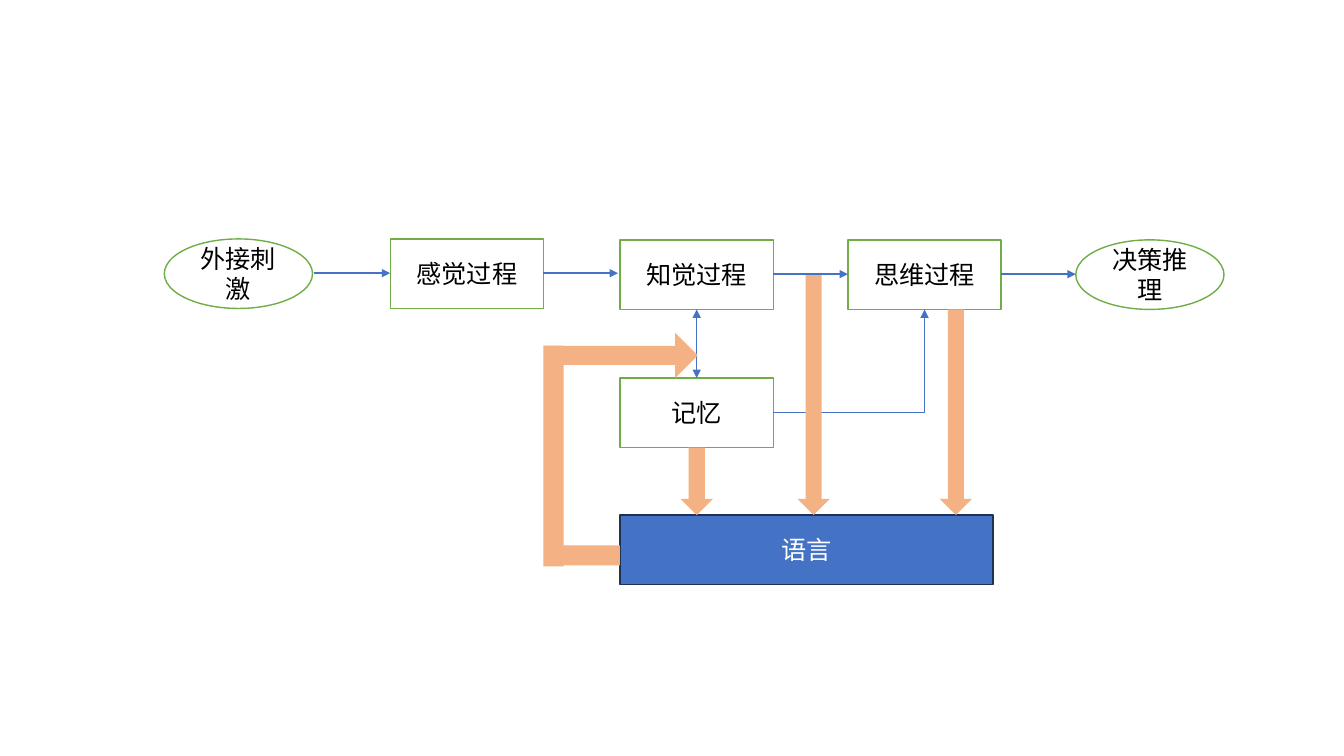
"""Build a flow diagram of cognition, from stimulus to decision, and its links with language."""
from lxml.etree import SubElement
from pptx import Presentation
from pptx.dml.color import RGBColor
from pptx.enum.shapes import MSO_CONNECTOR, MSO_SHAPE
from pptx.oxml.ns import qn
from pptx.util import Inches, Pt

FONT = "Noto Sans CJK SC"
GREEN, BLUE, NAVY, ORANGE = "70AD47", "4472C4", "1E3256", "F4B183"
WHITE, BLACK = "FFFFFF", "000000"
BOX_WIDTH, OVAL_WIDTH, HEIGHT = 1.52, 1.47, 0.69


def color(target, value):
    target.rgb = RGBColor.from_string(value)


def add_filled_shape(kind, left, top, width, height, fill):
    shape = slide.shapes.add_shape(kind, Inches(left), Inches(top), Inches(width), Inches(height))
    shape.shadow.inherit = False
    shape.fill.solid()
    color(shape.fill.fore_color, fill)
    shape.line.fill.background()
    return shape


presentation = Presentation()
presentation.slide_width = Inches(13.33)
presentation.slide_height = Inches(7.5)
slide = presentation.slides.add_slide(presentation.slide_layouts[6])

process = {"kind": MSO_SHAPE.RECTANGLE, "width": BOX_WIDTH, "fill": WHITE, "line": GREEN, "text": BLACK}
endpoint = {**process, "kind": MSO_SHAPE.OVAL, "width": OVAL_WIDTH}
language = {**process, "width": 3.7, "fill": BLUE, "line": NAVY, "text": WHITE}
nodes = [
    ("外接刺激", 1.63, 2.37, endpoint),
    ("感觉过程", 3.87, 2.37, process),
    ("知觉过程", 6.15, 2.38, process),
    ("思维过程", 8.41, 2.38, process),
    ("记忆", 6.15, 3.75, process),
    ("决策推理", 10.67, 2.38, endpoint),
    ("语言", 6.15, 5.11, language),
]
for label, left, top, style in nodes:
    shape = add_filled_shape(style["kind"], left, top, style["width"], HEIGHT, style["fill"])
    color(shape.line.color, style["line"])
    shape.line.width = Pt(1)
    run = shape.text_frame.paragraphs[0].add_run()
    run.text = label
    color(run.font.color, style["text"])
    for name, value in {"size": Pt(18), "name": FONT}.items():
        setattr(run.font, name, value)
    SubElement(run.font._element, qn("a:ea"), typeface=FONT)

links = [
    (3.11, 2.71, 3.87, 2.71, 1, ["tailEnd"]),
    (5.39, 2.71, 6.13, 2.71, 1, ["tailEnd"]),
    (7.67, 2.72, 8.41, 2.72, 1, ["tailEnd"]),
    (9.93, 2.72, 10.67, 2.72, 1, ["tailEnd"]),
    (6.91, 3.07, 6.91, 3.75, 0.5, ["headEnd", "tailEnd"]),
    (7.67, 4.09, 9.17, 3.07, 0.5, ["tailEnd"]),
]
for start_x, start_y, end_x, end_y, weight, arrowheads in links:
    bent = start_x != end_x and start_y != end_y
    connector = slide.shapes.add_connector(
        MSO_CONNECTOR.ELBOW if bent else MSO_CONNECTOR.STRAIGHT,
        Inches(start_x), Inches(start_y), Inches(end_x), Inches(end_y))
    color(connector.line.color, BLUE)
    connector.line.width = Pt(weight)
    properties = connector._element.spPr
    if bent:
        properties.find(qn("a:prstGeom")).set("prst", "bentConnector2")
    for arrowhead in arrowheads:
        SubElement(properties.find(qn("a:ln")), qn(f"a:{arrowhead}"), type="triangle")
    SubElement(properties, qn("a:effectLst"))

language_top, arrow_width = 5.11, 0.32
for center, top in [(6.91, 4.44), (8.07, 2.73), (9.48, 3.07)]:
    length = language_top - top
    arrow = add_filled_shape(
        MSO_SHAPE.RIGHT_ARROW, center - length / 2, (top + language_top - arrow_width) / 2,
        length, arrow_width, ORANGE)
    arrow.rotation = 90

feedback_arrow = add_filled_shape(MSO_SHAPE.RIGHT_ARROW, 5.4, 3.3, 1.52, 0.45, ORANGE)
feedback_arrow.adjustments[0] = 0.42
for left, top, width, height in [(5.39, 3.43, 0.2, 2.19), (5.49, 5.41, 0.66, 0.2)]:
    add_filled_shape(MSO_SHAPE.RECTANGLE, left, top, width, height, ORANGE)

presentation.save("out.pptx")
